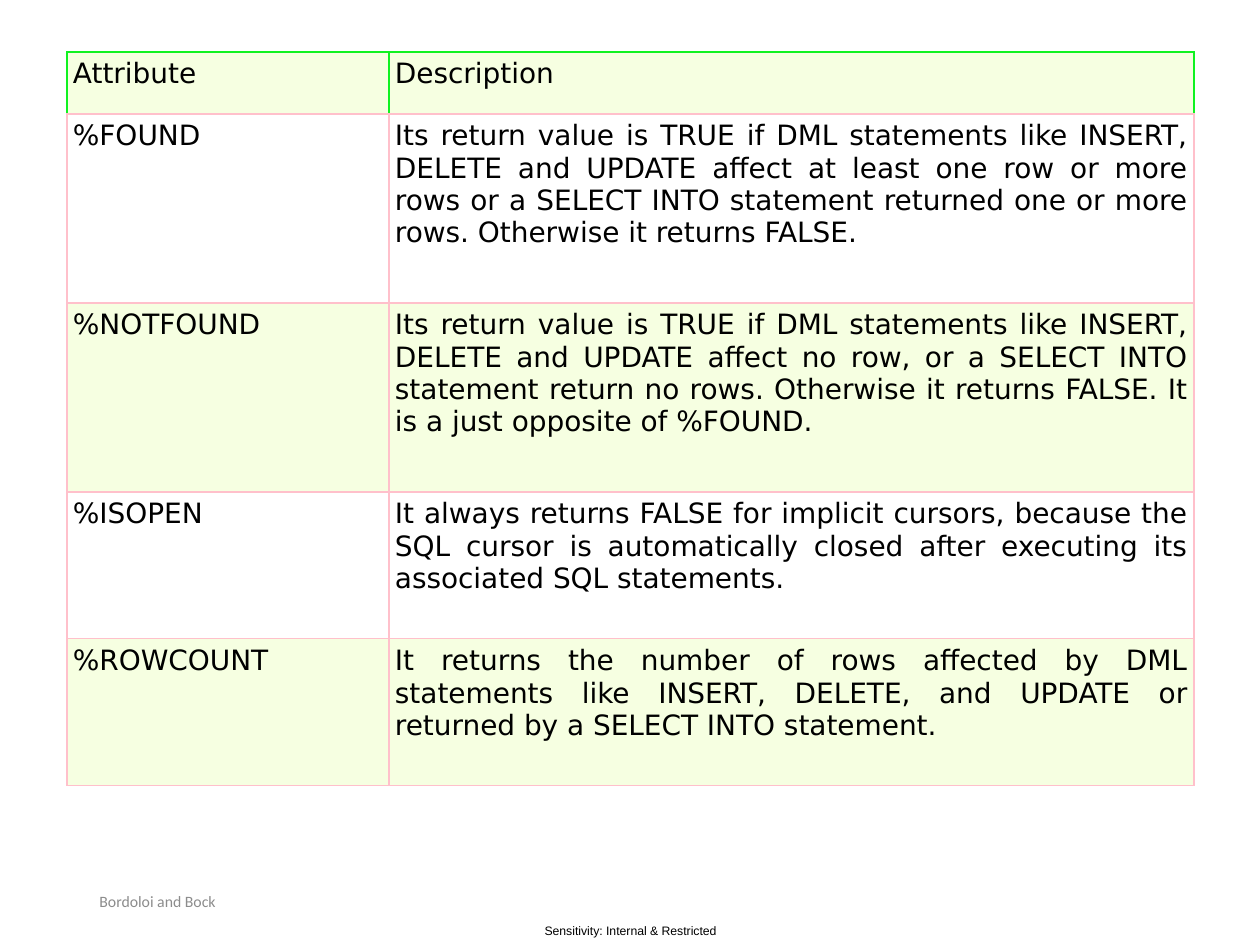
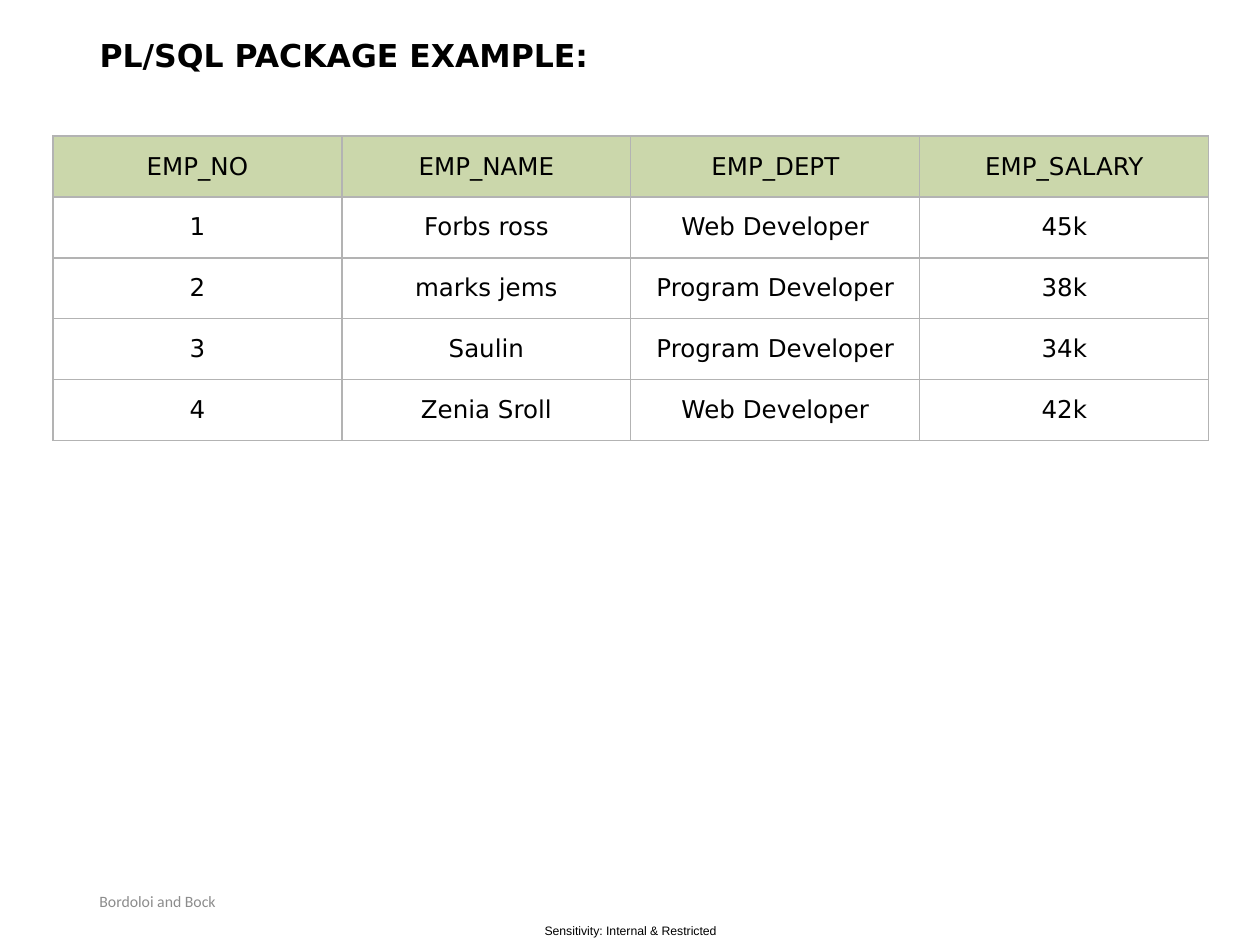
from lxml.etree import SubElement
from pptx import Presentation
from pptx.dml.color import RGBColor
from pptx.enum.text import MSO_ANCHOR, MSO_AUTO_SIZE, PP_ALIGN
from pptx.oxml.ns import qn
from pptx.util import Pt

PX = 914400 / 126
TITLE_ONLY, BLANK = 5, 6
BLACK, WHITE, GREY = "000000", "FFFFFF", "8C8C8C"
LIME, BRIGHT_GREEN, PINK = "F6FFE1", "10F221", "FFC0CB"
OLIVE, SILVER = "CBD7AB", "B3B3B3"
EDGES = ("lnL", "lnR", "lnT", "lnB")


def px(length):
    return round(length * PX)


def color(hex_string):
    return RGBColor.from_string(hex_string)


class Deck:
    font = "DejaVu Sans"

    def __init__(self):
        self.prs = Presentation()
        self.prs.slide_width, self.prs.slide_height = px(1260), px(945)

    def new_slide(self, title=None):
        layout = BLANK if title is None else TITLE_ONLY
        self.slide = self.prs.slides.add_slide(self.prs.slide_layouts[layout])
        if title is not None:
            self.title(title)
        self.text("Sensitivity: Internal & Restricted", (527, 917, 207, 28),
                  7, "Arial", BLACK, PP_ALIGN.CENTER, inset=0)
        self.text("Bordoloi and Bock", (87, 876, 284, 50), 9, "Calibri", GREY)

    def style(self, paragraph, size, font, hex_string, align=PP_ALIGN.LEFT, bold=False):
        paragraph.alignment = align
        paragraph.font.size, paragraph.font.name = Pt(size), font
        paragraph.font.bold = bold
        paragraph.font.color.rgb = color(hex_string)

    def set_insets(self, target, inset):
        target.margin_left = target.margin_right = px(inset)
        target.margin_top = target.margin_bottom = px(inset)

    def title(self, words):
        title = self.slide.shapes.title
        title.left, title.top, title.width, title.height = map(px, (87, 31, 1086, 53))
        frame = title.text_frame
        frame.text = words
        frame.auto_size = MSO_AUTO_SIZE.NONE
        frame.vertical_anchor = MSO_ANCHOR.MIDDLE
        self.style(frame.paragraphs[0], 18, self.font, BLACK, bold=True)
        frame.paragraphs[0].line_spacing = 0.9

    def text(self, words, box, size, font, hex_string, align=PP_ALIGN.LEFT, inset=None):
        frame = self.slide.shapes.add_textbox(*map(px, box)).text_frame
        frame.word_wrap = True
        frame.vertical_anchor = MSO_ANCHOR.MIDDLE
        if inset is not None:
            self.set_insets(frame, inset)
        frame.text = words
        self.style(frame.paragraphs[0], size, font, hex_string, align)

    def table(self, rows, left, top, widths, heights, fills, size, inset, border,
              header_border=None, anchor=MSO_ANCHOR.TOP,
              header_align=PP_ALIGN.CENTER, body_align=PP_ALIGN.CENTER):
        box = (left, top, sum(widths), sum(heights))
        table = self.slide.shapes.add_table(len(rows), len(widths), *map(px, box)).table
        table.first_row = table.horz_banding = False
        for column, width in zip(table.columns, widths):
            column.width = px(width)
        for r, (row, height, fill) in enumerate(zip(rows, heights, fills)):
            table.rows[r].height = px(height)
            for c, words in enumerate(row):
                cell = table.cell(r, c)
                cell.text = words
                cell.vertical_anchor = anchor
                self.set_insets(cell, inset)
                align = body_align if r else header_align
                self.style(cell.text_frame.paragraphs[0], size, self.font, BLACK, align)
                # The header's bottom edge belongs to the body grid
                upper = border if r else header_border or border
                self.borders(cell, (upper, upper, upper, border))
                cell.fill.solid()
                cell.fill.fore_color.rgb = color(fill)

    def borders(self, cell, edge_colors):
        properties = cell._tc.get_or_add_tcPr()
        for edge, hex_string in zip(EDGES, edge_colors):
            line = SubElement(properties, qn("a:" + edge), w=str(Pt(0.75)))
            fill = SubElement(line, qn("a:solidFill"))
            SubElement(fill, qn("a:srgbClr"), val=hex_string)


deck = Deck()

# Implicit cursor attributes
attributes = [
    ("Attribute", "Description"),
    ("%FOUND",
     "Its return value is TRUE if DML statements like INSERT, DELETE and UPDATE affect "
     "at least one row or more rows or a SELECT INTO statement returned one or more "
     "rows. Otherwise it returns FALSE."),
    ("%NOTFOUND",
     "Its return value is TRUE if DML statements like INSERT, DELETE and UPDATE affect "
     "no row, or a SELECT INTO statement return no rows. Otherwise it returns FALSE. "
     "It is a just opposite of %FOUND."),
    ("%ISOPEN",
     "It always returns FALSE for implicit cursors, because the SQL cursor is "
     "automatically closed after executing its associated SQL statements."),
    ("%ROWCOUNT",
     "It returns the number of rows affected by DML statements like INSERT, DELETE, "
     "and UPDATE or returned by a SELECT INTO statement."),
]
deck.new_slide()
deck.table(attributes, 67, 52, (322, 805), (62, 189, 189, 147, 147),
           (LIME, WHITE, LIME, WHITE, LIME), size=16, inset=6,
           border=PINK, header_border=BRIGHT_GREEN,
           header_align=PP_ALIGN.LEFT, body_align=PP_ALIGN.JUSTIFY)

# Employee table for the package example
employees = [
    ("EMP_NO", "EMP_NAME", "EMP_DEPT", "EMP_SALARY"),
    ("1", "Forbs ross", "Web Developer", "45k"),
    ("2", "marks jems", "Program Developer", "38k"),
    ("3", "Saulin", "Program Developer", "34k"),
    ("4", "Zenia Sroll", "Web Developer", "42k"),
]
deck.new_slide("PL/SQL PACKAGE EXAMPLE:")
deck.table(employees, 53, 136, [289] * 4, [61] * 5, [OLIVE] + [WHITE] * 4,
           size=14, inset=4, border=SILVER, anchor=MSO_ANCHOR.MIDDLE)

deck.prs.save("out.pptx")
